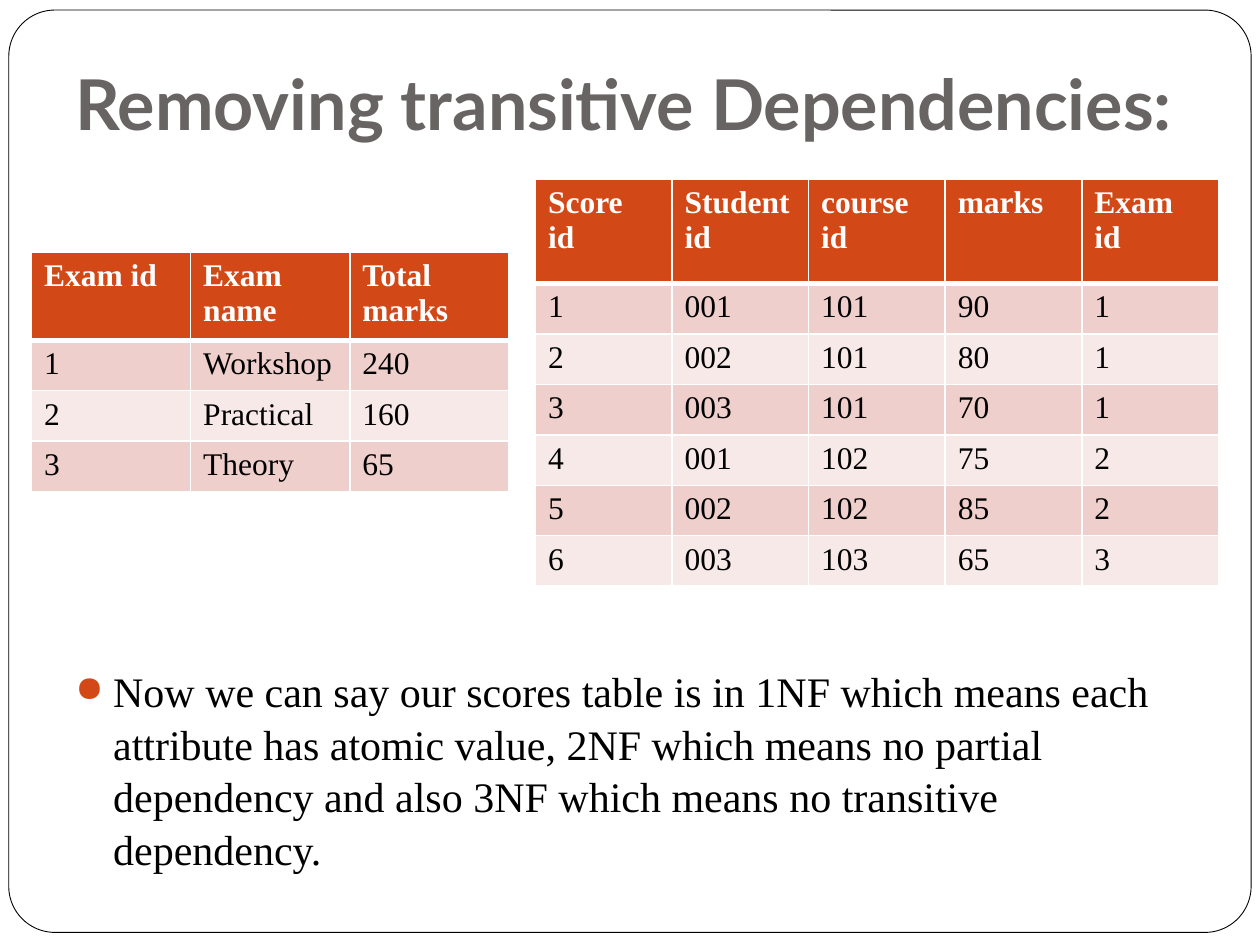
from lxml.etree import SubElement
from pptx import Presentation
from pptx.dml.color import RGBColor
from pptx.enum.shapes import MSO_SHAPE
from pptx.enum.text import MSO_ANCHOR
from pptx.oxml.ns import qn
from pptx.util import Inches, Pt

WHITE = RGBColor(0xFF, 0xFF, 0xFF)
BLACK = RGBColor(0, 0, 0)
GRAY = RGBColor(0x69, 0x64, 0x64)
ORANGE = RGBColor(0xD3, 0x48, 0x17)
BANDS = [RGBColor(0xF7, 0xE9, 0xE8), RGBColor(0xEF, 0xCF, 0xCC)]
SERIF = "Times New Roman"

SCORES = [
    ["Score\nid", "Student\nid", "course\nid", "marks", "Exam id"],
    ["1", "001", "101", "90", "1"],
    ["2", "002", "101", "80", "1"],
    ["3", "003", "101", "70", "1"],
    ["4", "001", "102", "75", "2"],
    ["5", "002", "102", "85", "2"],
    ["6", "003", "103", "65", "3"],
]
EXAMS = [
    ["Exam id", "Exam name", "Total marks"],
    ["1", "Workshop", "240"],
    ["2", "Practical", "160"],
    ["3", "Theory", "65"],
]
CONCLUSION = (
    "Now we can say our scores table is in 1NF which means each attribute has "
    "atomic value, 2NF which means no partial dependency and also 3NF which "
    "means no transitive dependency."
)


def set_font(para, name, size, color, bold=False):
    font = para.font
    font.name, font.size, font.bold = name, Pt(size), bold
    font.color.rgb = color


def add_frame(page, left, top, width, height):
    frame = page.shapes.add_shape(MSO_SHAPE.ROUNDED_RECTANGLE, left, top, width, height)
    frame.adjustments[0] = 0.05
    frame.shadow.inherit = False
    frame.fill.solid()
    frame.fill.fore_color.rgb = WHITE
    frame.line.color.rgb = BLACK
    frame.line.width = Pt(0.5)


def add_text(page, left, top, width, height, text):
    box = page.shapes.add_textbox(left, top, width, height)
    box.text_frame.word_wrap = True
    box.text_frame.text = text
    return box.text_frame


def add_title(page, left, top, width, height, text):
    frame = add_text(page, left, top, width, height, text)
    frame.vertical_anchor = MSO_ANCHOR.BOTTOM
    frame.margin_bottom = Inches(0.1)
    set_font(frame.paragraphs[0], "Lato", 40, GRAY, True)


def add_bullet(page, left, top, width, height, text):
    para = add_text(page, left, top, width, height, text).paragraphs[0]
    set_font(para, SERIF, 24, BLACK)
    para.line_spacing = 1.04
    # Hanging orange bullet
    props = para._p.get_or_add_pPr()
    props.set("marL", str(Inches(0.3)))
    props.set("indent", str(-Inches(0.3)))
    bullet = [
        SubElement(props, qn("a:buClr")),
        SubElement(props, qn("a:buSzPct"), val="85000"),
        SubElement(props, qn("a:buChar"), char="●"),
    ]
    SubElement(bullet[0], qn("a:srgbClr"), val=str(ORANGE))
    # Bullet marks come before the default run properties
    props.find(qn("a:defRPr")).addprevious(bullet[0])
    bullet[0].addnext(bullet[1])
    bullet[1].addnext(bullet[2])


def add_borders(cell, bottom):
    props = cell._tc.get_or_add_tcPr()
    sides = {"lnL": 1, "lnR": 1, "lnT": 1, "lnB": bottom}
    for index, (side, width) in enumerate(sides.items()):
        line = SubElement(props, qn("a:" + side), w=str(Pt(width)))
        fill = SubElement(line, qn("a:solidFill"))
        SubElement(fill, qn("a:srgbClr"), val=str(WHITE))
        props.insert(index, line)


def add_data_table(page, left, top, width, header_height, row_height, rows):
    height = header_height + row_height * (len(rows) - 1)
    table = page.shapes.add_table(
        len(rows), len(rows[0]), left, top, width, height
    ).table
    for row_index, values in enumerate(rows):
        is_header = row_index == 0
        table.rows[row_index].height = header_height if is_header else row_height
        for column_index, value in enumerate(values):
            cell = table.cell(row_index, column_index)
            cell.text = value
            cell.fill.solid()
            cell.fill.fore_color.rgb = ORANGE if is_header else BANDS[row_index % 2]
            for para in cell.text_frame.paragraphs:
                set_font(para, SERIF, 18, WHITE if is_header else BLACK, is_header)
            add_borders(cell, 3 if is_header else 1)


def main():
    deck = Presentation()
    deck.slide_width, deck.slide_height = Inches(10), Inches(7.5)
    page = deck.slides.add_slide(deck.slide_layouts[6])

    add_frame(page, Inches(0.07), Inches(0.08), Inches(9.86), Inches(7.32))
    add_title(page, Inches(0.5), Inches(0.3), Inches(9), Inches(0.95),
              "Removing transitive Dependencies:")
    add_bullet(page, Inches(0.5), Inches(5.22), Inches(9), Inches(2.1), CONCLUSION)

    # Scores on the right, exams on the left
    row_height = Inches(0.37)
    add_data_table(page, Inches(4.25), Inches(1.42), Inches(5.42),
                   Inches(0.83), row_height, SCORES)
    add_data_table(page, Inches(0.25), Inches(2), Inches(3.79),
                   Inches(0.65), row_height, EXAMS)
    deck.save("out.pptx")


if __name__ == "__main__":
    main()
